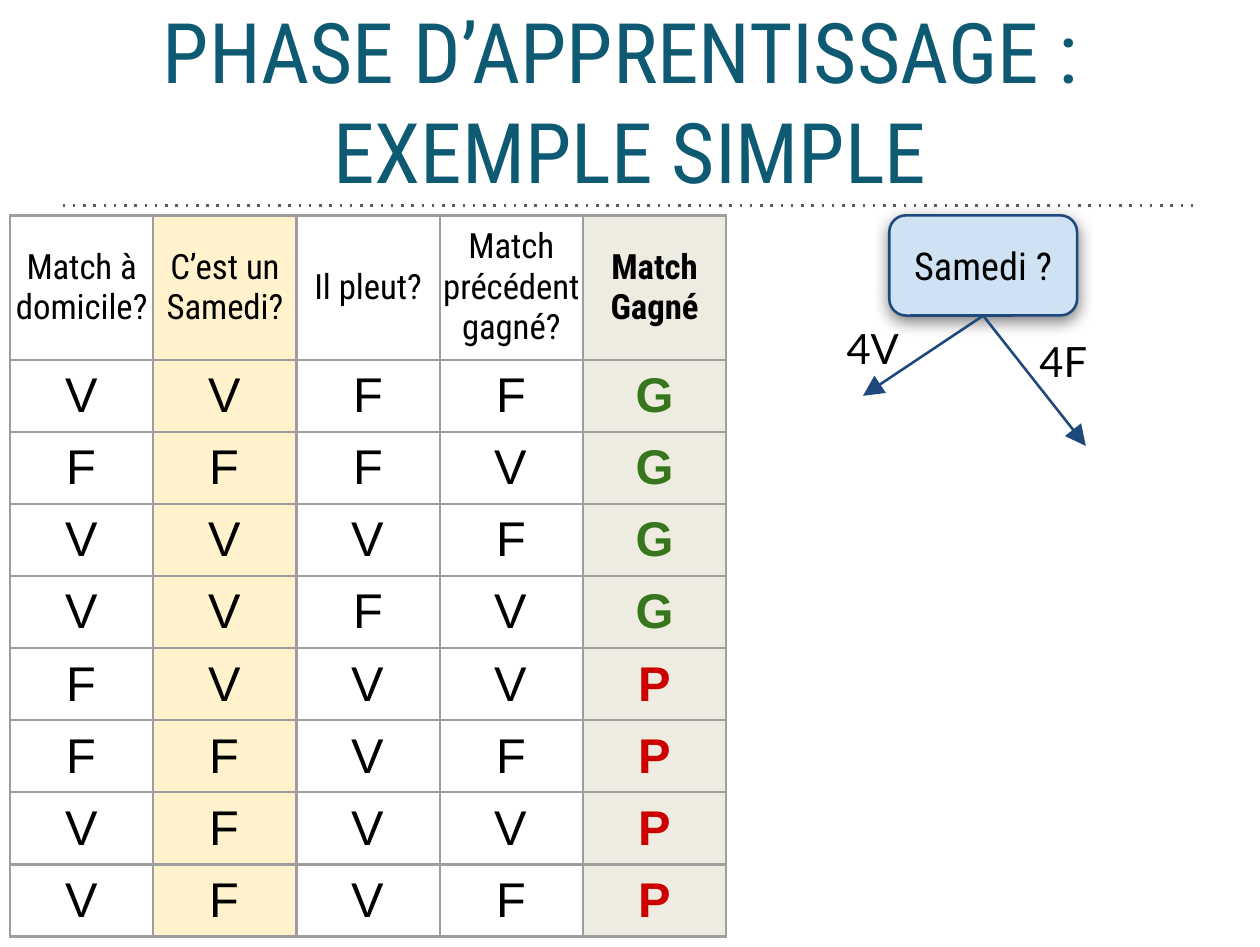
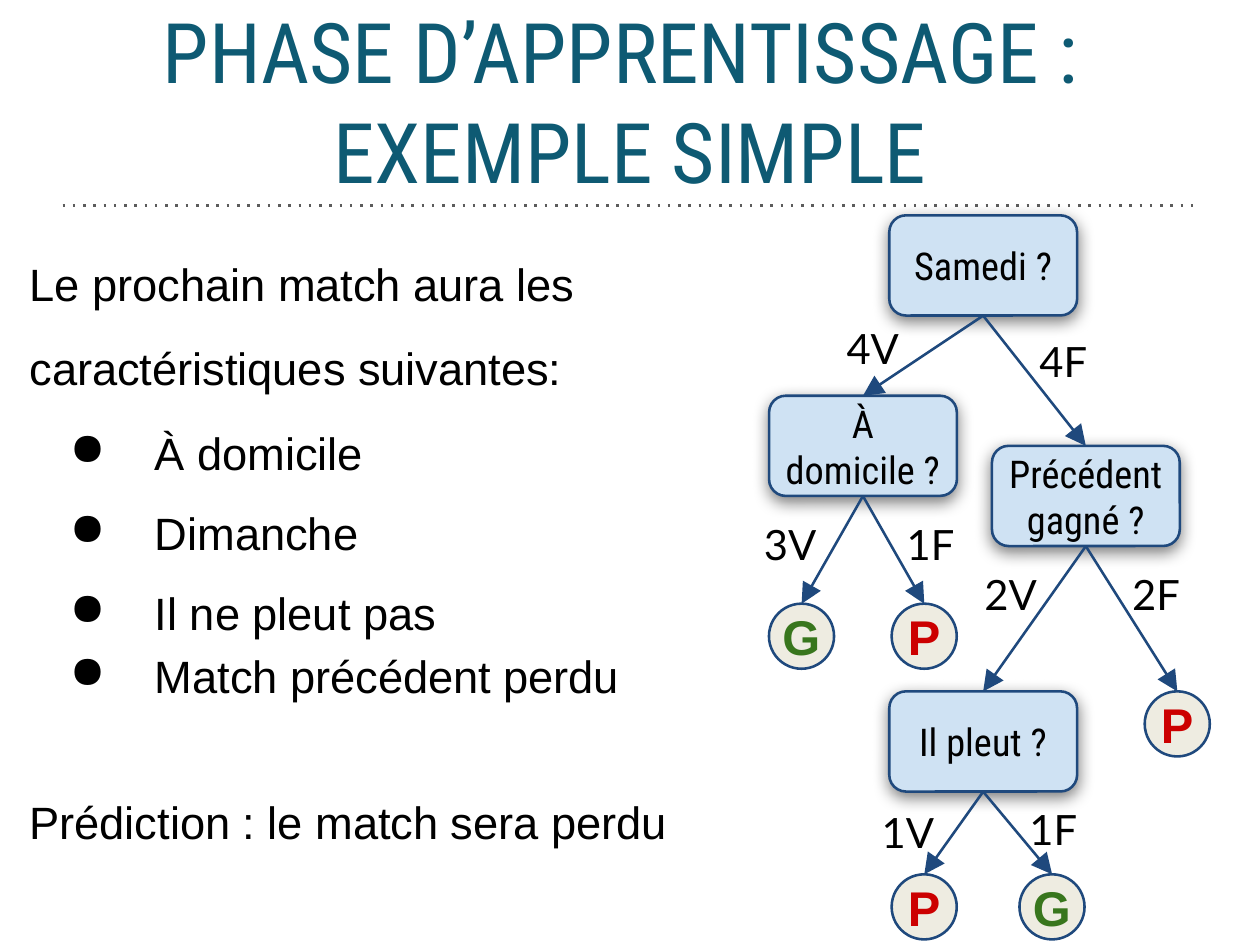
from lxml.etree import SubElement
from pptx import Presentation
from pptx.dml.color import RGBColor
from pptx.enum.shapes import MSO_CONNECTOR, MSO_SHAPE
from pptx.enum.text import MSO_ANCHOR, PP_ALIGN
from pptx.oxml.ns import qn
from pptx.util import Inches, Pt

BLACK = RGBColor(0x00, 0x00, 0x00)
TEAL = RGBColor(0x0E, 0x5A, 0x73)
RULE_GRAY = RGBColor(0x5C, 0x5C, 0x5C)
BORDER_GRAY = RGBColor(0x9E, 0x9E, 0x9E)
NAVY = RGBColor(0x1F, 0x49, 0x7D)
PALE_BLUE = RGBColor(0xCF, 0xE2, 0xF3)
CREAM = RGBColor(0xFF, 0xF2, 0xCC)
BEIGE = RGBColor(0xEE, 0xEC, 0xE1)
GREEN = RGBColor(0x38, 0x76, 0x1D)
RED = RGBColor(0xCC, 0x00, 0x00)

CONDENSED, SANS, LABEL_FONT = "Roboto Condensed", "Arial", "Lato"
SLIDE_WIDTH, SLIDE_HEIGHT = 5.03, 3.78
LINE_WIDTH = 0.75
RESULT_COLORS = {"G": GREEN, "P": RED}

HEADINGS = ["Match à domicile?", "C’est un Samedi?", "Il pleut?",
            "Match précédent gagné?", "Match Gagné"]
MATCHES = ["VVFFG", "FFFVG", "VVVFG", "VVFVG", "FVVVP", "FFVFP", "VFVVP", "VFVFP"]
COLUMN_FILLS = {1: CREAM, 4: BEIGE}

QUESTION_SIZE = (0.75, 0.4)
RESULT_SIZE = (0.26, 0.26)
NODES = {
    "saturday": ("Samedi ?", 0.5, 0),
    "home": ("À domicile ?", 0.02, 0.72),
    "previous": ("Précédent gagné ?", 0.91, 0.92),
    "rain": ("Il pleut ?", 0.5, 1.9),
    "home yes": ("G", 0.02, 1.55),
    "home no": ("P", 0.51, 1.55),
    "previous no": ("P", 1.52, 1.9),
    "rain yes": ("P", 0.51, 2.63),
    "rain no": ("G", 1.02, 2.63),
}
BRANCHES = [
    ("saturday", "previous", "4F", 1.1, 0.48),
    ("saturday", "home", "4V", 0.33, 0.43),
    ("home", "home yes", "3V", 0, 1.21),
    ("home", "home no", "1F", 0.57, 1.21),
    ("previous", "rain", "2V", 0.88, 1.41),
    ("previous", "previous no", "2F", 1.47, 1.41),
    ("rain", "rain yes", "1V", 0.47, 2.36),
    ("rain", "rain no", "1F", 1.06, 2.35),
]

BODY = [
    ("Le prochain match aura les caractéristiques suivantes:", False, 1.56, 0),
    ("À domicile", True, 1.56, 0),
    ("Dimanche", True, 1.47, 0),
    ("Il ne pleut pas", True, 1.47, 0),
    ("Match précédent perdu", True, 1.16, 0),
    ("Prédiction : le match sera perdu", False, 1.16, 24),
]


def write_text(paragraph, text, size=12, font=SANS, color=BLACK, bold=False,
               align=PP_ALIGN.LEFT, spacing=None, before=0):
    """Write one formatted run into a paragraph."""
    paragraph.alignment = align
    if spacing:
        paragraph.line_spacing = spacing
    if before:
        paragraph.space_before = Pt(before)
    run = paragraph.add_run()
    run.text = text
    run.font.size = Pt(size)
    run.font.name = font
    run.font.bold = bold
    run.font.color.rgb = color


def set_frame(frame, inset=0, anchor=MSO_ANCHOR.TOP):
    """Set the wrap, insets and anchor of a text frame."""
    frame.word_wrap = True
    frame.vertical_anchor = anchor
    frame.margin_left = frame.margin_right = Inches(inset)
    frame.margin_top = frame.margin_bottom = Inches(inset)
    return frame


def add_text_frame(slide, left, top, width, height, **options):
    """Add a text box and return its frame."""
    box = slide.shapes.add_textbox(Inches(left), Inches(top), Inches(width), Inches(height))
    return set_frame(box.text_frame, **options)


def add_line(slide, start, end, color, ending, value):
    """Add a straight line with one dash or arrowhead element."""
    line = slide.shapes.add_connector(
        MSO_CONNECTOR.STRAIGHT, *(Inches(length) for length in (*start, *end)))
    line.line.color.rgb = color
    line.line.width = Pt(LINE_WIDTH)
    attribute = "val" if ending == "prstDash" else "type"
    SubElement(line.line._get_or_add_ln(), qn(f"a:{ending}"), {attribute: value})
    SubElement(line._element.spPr, qn("a:effectLst"))
    return line


def add_shadow(shape):
    """Give a shape a soft shadow below it."""
    effects = shape._element.spPr.find(qn("a:effectLst"))
    shadow = SubElement(effects, qn("a:outerShdw"), {
        "blurRad": str(Pt(4.5)), "dist": str(Pt(1.5)), "dir": "5400000",
        "algn": "bl", "rotWithShape": "0"})
    color = SubElement(shadow, qn("a:srgbClr"), val=str(BLACK))
    SubElement(color, qn("a:alpha"), val="50000")


def add_header(slide):
    """Add the title and its dotted rule."""
    add_line(slide, (0.25, 0.82), (4.78, 0.82), RULE_GRAY, "prstDash", "dot")
    frame = add_text_frame(slide, 0, 0, SLIDE_WIDTH, 0.8, inset=0.1,
                           anchor=MSO_ANCHOR.MIDDLE)
    title = dict(size=24, font=CONDENSED, color=TEAL, align=PP_ALIGN.CENTER)
    write_text(frame.paragraphs[0], "PHASE D’APPRENTISSAGE : ", **title)
    write_text(frame.add_paragraph(), "EXEMPLE SIMPLE", **title)


def format_cell(cell, fill):
    """Set the borders, margins and fill of a table cell."""
    cell.margin_left = cell.margin_right = cell.margin_top = cell.margin_bottom = 0
    cell.vertical_anchor = MSO_ANCHOR.MIDDLE
    properties = cell._tc.get_or_add_tcPr()
    for side in "LRTB":
        border = SubElement(properties, qn(f"a:ln{side}"), w=str(Pt(LINE_WIDTH)))
        solid = SubElement(border, qn("a:solidFill"))
        SubElement(solid, qn("a:srgbClr"), val=str(BORDER_GRAY))
    if fill is None:
        cell.fill.background()
    else:
        cell.fill.solid()
        cell.fill.fore_color.rgb = fill


def add_match_table(slide, left, top, width, height):
    """Add the table of past matches."""
    rows = [HEADINGS, *MATCHES]
    row_height = height / (len(rows) + 1)
    table = slide.shapes.add_table(len(rows), len(HEADINGS), Inches(left), Inches(top),
                                   Inches(width), Inches(height)).table
    table.first_row = table.horz_banding = False
    for column in table.columns:
        column.width = Inches(width / len(HEADINGS))
    for row_index, values in enumerate(rows):
        heading = row_index == 0
        table.rows[row_index].height = Inches(row_height * (2 if heading else 1))
        for column_index, value in enumerate(values):
            cell = table.cell(row_index, column_index)
            format_cell(cell, COLUMN_FILLS.get(column_index))
            write_text(cell.text_frame.paragraphs[0], value,
                       size=10 if heading else 14, font=CONDENSED if heading else SANS,
                       color=RESULT_COLORS.get(value, BLACK),
                       bold=column_index == len(HEADINGS) - 1, align=PP_ALIGN.CENTER)


def add_node(slide, text, left, top):
    """Add a question box or a result circle."""
    result = text in RESULT_COLORS
    width, height = RESULT_SIZE if result else QUESTION_SIZE
    kind = MSO_SHAPE.OVAL if result else MSO_SHAPE.ROUNDED_RECTANGLE
    shape = slide.shapes.add_shape(kind, Inches(left), Inches(top),
                                   Inches(width), Inches(height))
    shape.shadow.inherit = False
    shape.fill.solid()
    shape.fill.fore_color.rgb = BEIGE if result else PALE_BLUE
    shape.line.color.rgb = NAVY
    shape.line.width = Pt(LINE_WIDTH)
    if not result:
        add_shadow(shape)
    frame = set_frame(shape.text_frame, anchor=MSO_ANCHOR.MIDDLE)
    write_text(frame.paragraphs[0], text, size=14 if result else 11,
               font=SANS if result else CONDENSED, bold=result,
               color=RESULT_COLORS.get(text, BLACK), align=PP_ALIGN.CENTER)
    return shape


def get_top_center(name, left, top):
    """Return the middle of the top edge of a node."""
    text, x, y = NODES[name]
    width = (RESULT_SIZE if text in RESULT_COLORS else QUESTION_SIZE)[0]
    return left + x + width / 2, top + y


def add_tree(slide, left, top, names):
    """Add the named nodes and every branch that leaves them."""
    shapes = {}
    for name in names:
        text, x, y = NODES[name]
        shapes[name] = add_node(slide, text, left + x, top + y)
    for parent, child, label, label_x, label_y in BRANCHES:
        if parent not in shapes:
            continue
        x, y = get_top_center(parent, left, top)
        arrow = add_line(slide, (x, y + QUESTION_SIZE[1]), get_top_center(child, left, top),
                         NAVY, "tailEnd", "triangle")
        arrow.begin_connect(shapes[parent], 2)
        if child in shapes:
            arrow.end_connect(shapes[child], 0)
        frame = add_text_frame(slide, left + label_x, top + label_y, 0.24, 0.2)
        write_text(frame.paragraphs[0], label, font=LABEL_FONT)


def add_bullet(paragraph):
    """Give a paragraph a round black bullet and a hanging indent."""
    properties = paragraph._p.get_or_add_pPr()
    properties.set("marL", str(Inches(0.5)))
    properties.set("indent", str(Inches(-0.34)))
    color = SubElement(properties, qn("a:buClr"))
    SubElement(color, qn("a:srgbClr"), val=str(BLACK))
    SubElement(properties, qn("a:buChar"), char="●")


def add_prediction(slide, left, top, width, height):
    """Add the description of the next match and its prediction."""
    frame = add_text_frame(slide, left, top, width, height, inset=0.1)
    for index, (text, bulleted, spacing, before) in enumerate(BODY):
        paragraph = frame.add_paragraph() if index else frame.paragraphs[0]
        if bulleted:
            add_bullet(paragraph)
        write_text(paragraph, text, size=13, spacing=spacing, before=before)


def main():
    """Build both slides and save the presentation."""
    presentation = Presentation()
    presentation.slide_width = Inches(SLIDE_WIDTH)
    presentation.slide_height = Inches(SLIDE_HEIGHT)
    blank = presentation.slide_layouts[6]
    table_slide, tree_slide = (presentation.slides.add_slide(blank) for _ in range(2))
    for slide in (table_slide, tree_slide):
        add_header(slide)
    add_match_table(table_slide, 0.04, 0.86, 2.86, 2.88)
    add_tree(table_slide, 3.05, 0.86, ["saturday"])
    add_tree(tree_slide, 3.05, 0.86, NODES)
    add_prediction(tree_slide, 0.02, 0.8, 3.28, 2.9)
    presentation.save("out.pptx")


if __name__ == "__main__":
    main()
